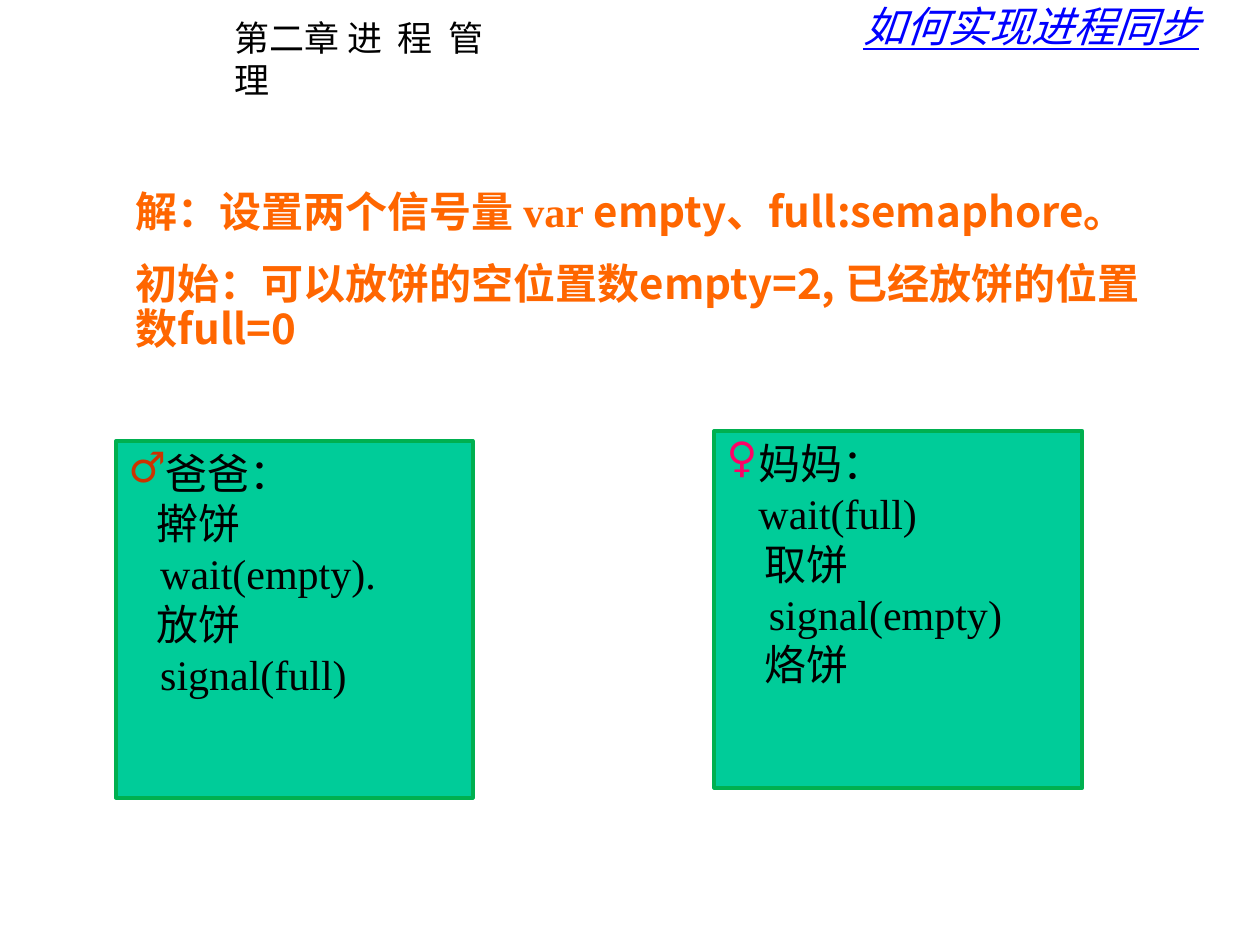
"""Build a slide on solving process synchronisation with two semaphores."""
from dataclasses import dataclass

from lxml import etree
from pptx import Presentation
from pptx.dml.color import RGBColor
from pptx.enum.shapes import MSO_SHAPE
from pptx.enum.text import MSO_ANCHOR, MSO_AUTO_SIZE, PP_ALIGN
from pptx.oxml.ns import qn
from pptx.util import Cm, Pt

RECTANGLE = MSO_SHAPE.RECTANGLE
TOP = MSO_ANCHOR.TOP
FIT_TEXT = MSO_AUTO_SIZE.SHAPE_TO_FIT_TEXT
JUSTIFY = PP_ALIGN.JUSTIFY
LEFT = PP_ALIGN.LEFT

BLACK = RGBColor(0x00, 0x00, 0x00)
BLUE = RGBColor(0x00, 0x00, 0xFF)
ORANGE = RGBColor(0xFF, 0x66, 0x00)
TEAL = RGBColor(0x00, 0xCC, 0x99)
GREEN = RGBColor(0x00, 0xB0, 0x50)
RED = RGBColor(0xCC, 0x33, 0x00)
PINK = RGBColor(0xFF, 0x00, 0x66)

CJK = "Noto Sans CJK SC"
SERIF = "Times New Roman"
SANS = "Cabin"


@dataclass(frozen=True)
class Style:
    font: str
    size: float = 24
    color: RGBColor = BLACK
    bold: bool = False
    italic: bool = False
    underline: bool = False
    spacing: int = 0


@dataclass(frozen=True)
class Box:
    left: float
    top: float
    width: float
    height: float


@dataclass(frozen=True)
class Step:
    text: str
    indent: float


@dataclass(frozen=True)
class Role:
    box: Box
    symbol: str
    symbol_color: RGBColor
    name: str
    steps: tuple[Step, ...]


CHAPTER = Style(CJK, 20)
CHAPTER_GAP = Style(CJK, 20, spacing=450)
TOPIC = Style(SANS, color=BLUE, italic=True, underline=True)
SERIF_BOLD = Style(SERIF, color=ORANGE, bold=True)
CJK_BOLD = Style(CJK, color=ORANGE, bold=True)
STEP = Style(SERIF)
HANGING = 0.64

ROLES = (
    Role(Box(2.34, 8.89, 7.19, 7.19), "♂", RED, "爸爸：", (
        Step("擀饼", 0.57),
        Step("wait(empty).", 0.64),
        Step("放饼", 0.57),
        Step("signal(full)", 0.64),
    )),
    Role(Box(14.4, 8.69, 7.42, 7.19), "♀", PINK, "妈妈：", (
        Step("wait(full)", 0.64),
        Step("取饼", 0.76),
        Step("signal(empty)", 0.85),
        Step("烙饼", 0.76),
    )),
)

CHAPTER_LINES = ((
    ("第二章 进", CHAPTER), (" ", CHAPTER_GAP),
    ("程", CHAPTER), (" ", CHAPTER_GAP),
    ("管", CHAPTER), (" ", CHAPTER_GAP),
    ("理", CHAPTER),
),)
SOLUTION_LINES = (
    (("解：设置两个信号量 var ", SERIF_BOLD), ("empty", CJK_BOLD),
     ("、", SERIF_BOLD), ("full:semaphore。", CJK_BOLD)),
    (("初始：可以放饼的空位置数", SERIF_BOLD),
     ("empty=2, 已经放饼的位置数full=0", CJK_BOLD)),
)
TOPIC_LINES = ((("如何实现进程同步", TOPIC),),)


def format_run(run, style: Style) -> None:
    """Apply a style to Latin and East Asian text."""
    font = run.font
    font.name = style.font
    font.size = Pt(style.size)
    font.color.rgb = style.color
    font.bold = style.bold
    font.italic = style.italic
    font.underline = style.underline
    properties = font._element
    etree.SubElement(properties, qn("a:ea")).set("typeface", CJK)
    if style.spacing:
        properties.set("spc", str(style.spacing))


def set_indent(paragraph, margin: float, first_line: float = 0) -> None:
    """Set the left margin and first-line offset in centimetres."""
    properties = paragraph._p.get_or_add_pPr()
    properties.set("marL", str(Cm(margin)))
    properties.set("indent", str(Cm(first_line)))


def add_bullet(paragraph, symbol: str, color: RGBColor) -> None:
    """Give a paragraph a coloured bullet symbol."""
    properties = paragraph._p.get_or_add_pPr()
    bullet_color = etree.SubElement(properties, qn("a:buClr"))
    etree.SubElement(bullet_color, qn("a:srgbClr")).set("val", str(color))
    etree.SubElement(properties, qn("a:buChar")).set("char", symbol)


def add_text(slide, box: Box, lines: tuple, wrap: bool = True,
             line_spacing: float = 0.9, space_before: float = 15) -> None:
    """Add a text box whose lines hold text and style pairs."""
    text_box = slide.shapes.add_textbox(
        Cm(box.left), Cm(box.top), Cm(box.width), Cm(box.height))
    frame = text_box.text_frame
    frame.word_wrap = wrap
    frame.auto_size = FIT_TEXT
    for index, line in enumerate(lines):
        paragraph = frame.add_paragraph() if index else frame.paragraphs[0]
        paragraph.alignment = LEFT
        paragraph.line_spacing = line_spacing
        paragraph.space_before = Pt(space_before)
        for text, style in line:
            run = paragraph.add_run()
            run.text = text
            format_run(run, style)


def add_role(slide, role: Role) -> None:
    """Draw one process panel with its name and steps."""
    box = role.box
    panel = slide.shapes.add_shape(
        RECTANGLE, Cm(box.left), Cm(box.top), Cm(box.width), Cm(box.height))
    panel.shadow.inherit = False
    panel.fill.solid()
    panel.fill.fore_color.rgb = TEAL
    panel.line.color.rgb = GREEN
    panel.line.width = Pt(2.25)
    frame = panel.text_frame
    frame.word_wrap = True
    frame.vertical_anchor = TOP
    frame.text = "\n".join([role.name, *(step.text for step in role.steps)])
    for paragraph in frame.paragraphs:
        paragraph.alignment = JUSTIFY
        format_run(paragraph.runs[0], STEP)
    heading, *step_lines = frame.paragraphs
    set_indent(heading, HANGING, -HANGING)
    add_bullet(heading, role.symbol, role.symbol_color)
    for paragraph, step in zip(step_lines, role.steps):
        set_indent(paragraph, step.indent)


def main() -> None:
    """Create and save the presentation."""
    presentation = Presentation()
    presentation.slide_width = Cm(25.4)
    presentation.slide_height = Cm(19.05)
    slide = presentation.slides.add_slide(presentation.slide_layouts[6])
    add_text(slide, Box(4.47, 0.2, 6.55, 1.12), CHAPTER_LINES,
             wrap=False, line_spacing=1.0, space_before=0)
    for role in ROLES:
        add_role(slide, role)
    add_text(slide, Box(2.49, 3.73, 21.16, 3.53), SOLUTION_LINES)
    add_text(slide, Box(17.15, 0, 8.25, 1.17), TOPIC_LINES)
    presentation.save("out.pptx")


if __name__ == "__main__":
    main()
